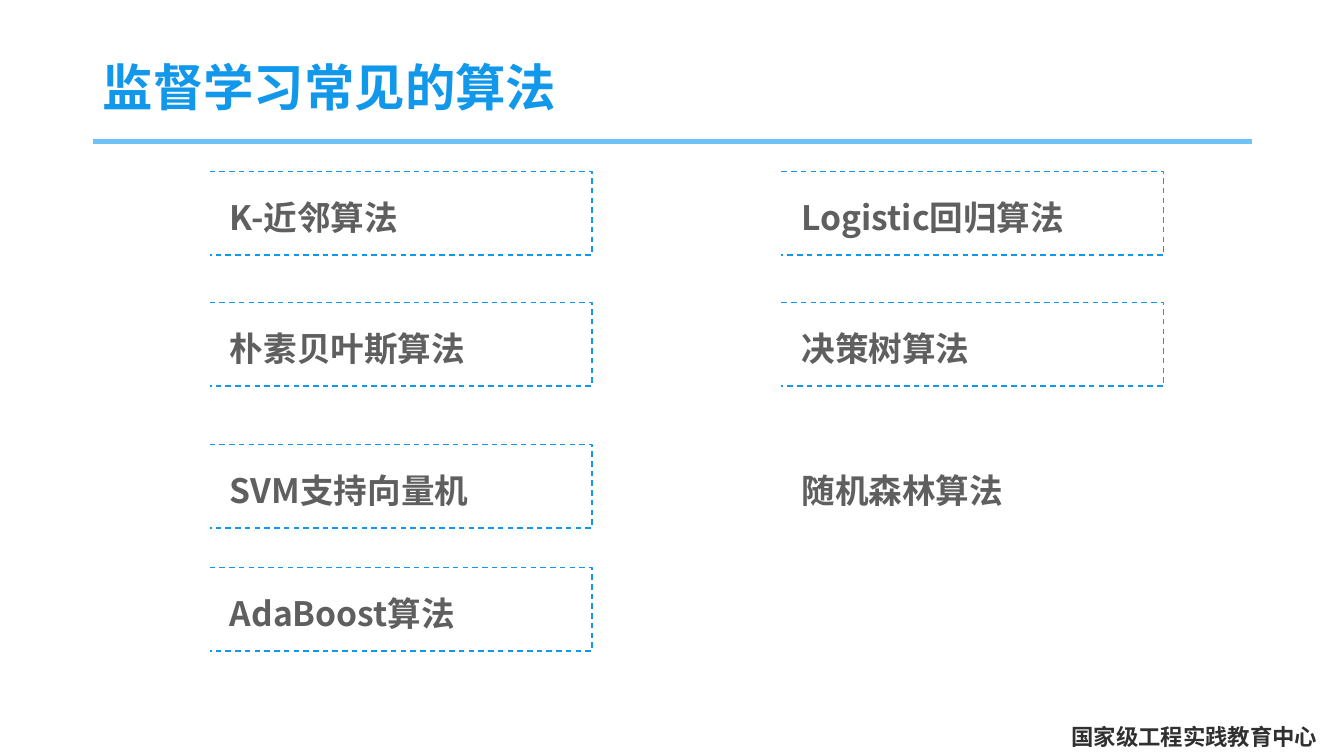
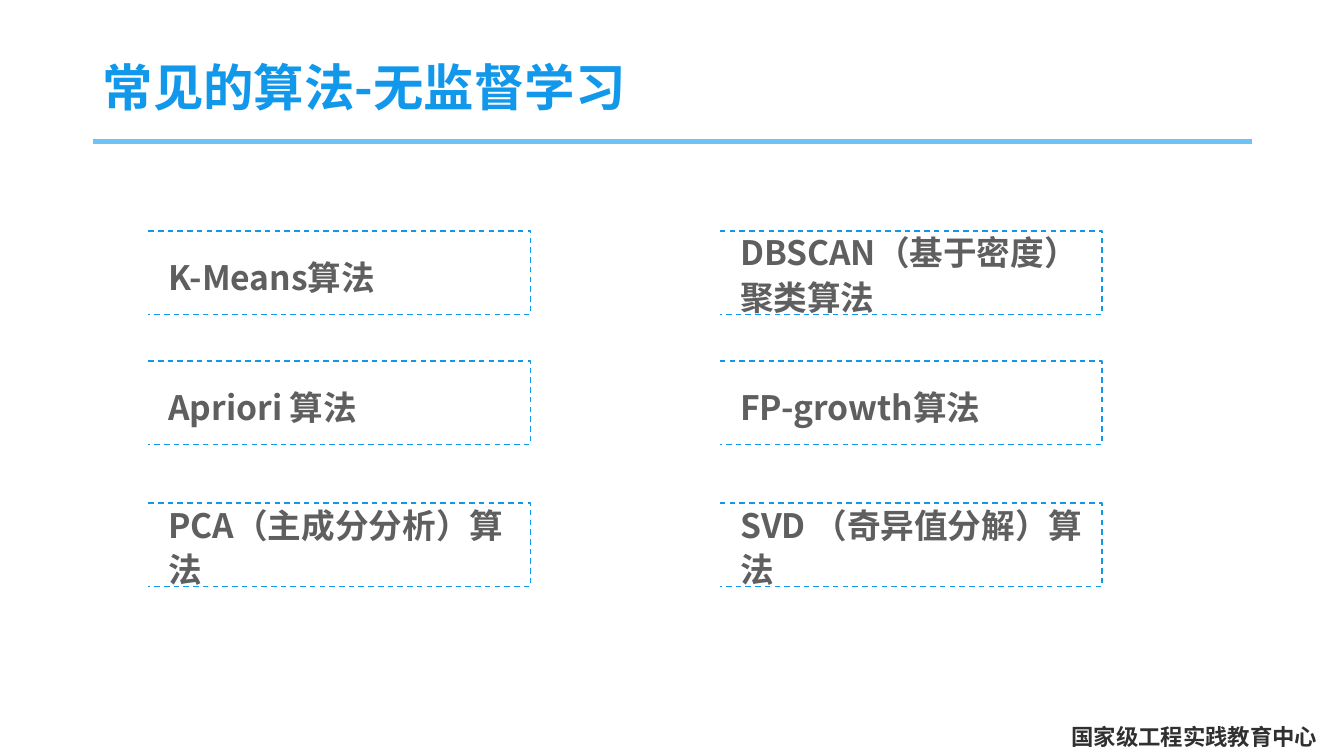
from lxml import etree
from pptx import Presentation
from pptx.dml.color import RGBColor
from pptx.enum import dml, shapes, text
from pptx.oxml.ns import qn
from pptx.util import Inches, Pt

FONT = "Noto Sans CJK SC"
BLUE = RGBColor(0x11, 0x98, 0xEB)
LIGHT_BLUE = RGBColor(0x6F, 0xC2, 0xF5)
GREY = RGBColor(0x5F, 0x5F, 0x5F)
DARK = RGBColor(0x30, 0x30, 0x30)
WHITE = RGBColor(0xFF, 0xFF, 0xFF)

FOOTER = "国家级工程实践教育中心"
CARD_WIDTH, CARD_HEIGHT = 3.79, 0.83
COLUMN_STEP = 5.67
WRAPPED = 1.1  # line spacing of two-line labels
SINGLE = 1.2

# Each row: top edge, then (label, line spacing, outline, fill) from left to right
SLIDES = [
    {
        "title": "监督学习常见的算法",
        "left": 2.08,
        "rows": [
            (1.7, [("K-近邻算法", SINGLE, BLUE, None),
                   ("Logistic回归算法", SINGLE, BLUE, None)]),
            (3.0, [("朴素贝叶斯算法", SINGLE, BLUE, None),
                   ("决策树算法", SINGLE, BLUE, None)]),
            (4.41, [("SVM支持向量机", SINGLE, BLUE, None),
                    ("随机森林算法", SINGLE, WHITE, WHITE)]),
            (5.63, [("AdaBoost算法", SINGLE, BLUE, None)]),
        ],
    },
    {
        "title": "常见的算法-无监督学习",
        "left": 1.47,
        "rows": [
            (2.29, [("K-Means算法", SINGLE, BLUE, None),
                    ("DBSCAN（基于密度）聚类算法", WRAPPED, BLUE, None)]),
            (3.58, [("Apriori 算法", SINGLE, BLUE, None),
                    ("FP-growth算法", SINGLE, BLUE, None)]),
            (4.99, [("PCA（主成分分析）算法", WRAPPED, BLUE, None),
                    ("SVD （奇异值分解）算法", WRAPPED, BLUE, WHITE)]),
        ],
    },
]


def write(frame, words, size, color, anchor, spacing=1.0, align=text.PP_ALIGN.LEFT):
    frame.word_wrap = True
    frame.vertical_anchor = anchor
    para = frame.paragraphs[0]
    para.alignment = align
    para.line_spacing = spacing
    span = para.add_run()
    span.text = words
    span.font.size = Pt(size)
    span.font.bold = True
    span.font.color.rgb = color
    span.font.name = FONT
    # Chinese glyphs take their typeface from a separate element
    etree.SubElement(span._r.get_or_add_rPr(), qn("a:ea"), typeface=FONT)


def add_frame(page, title):
    """Add the title, its rule and the footer that all slides share."""
    footer = page.shapes.add_textbox(Inches(10.53), Inches(7.19), Inches(2.69), Inches(0.3))
    write(footer.text_frame, FOOTER, 16, DARK, text.MSO_ANCHOR.BOTTOM,
          align=text.PP_ALIGN.JUSTIFY)

    rule = page.shapes.add_connector(shapes.MSO_CONNECTOR.STRAIGHT, Inches(0.92), Inches(1.4),
                                     Inches(12.42), Inches(1.4))
    rule.line.color.rgb = LIGHT_BLUE
    rule.line.width = Pt(3.5)
    etree.SubElement(rule._element.spPr, qn("a:effectLst"))

    heading = page.shapes.add_textbox(Inches(0.92), Inches(0.4), Inches(11.5), Inches(1))
    write(heading.text_frame, title, 36, BLUE, text.MSO_ANCHOR.MIDDLE, 0.9)


def add_card(page, left, top, label, spacing, outline, fill):
    """Add a dashed box that is open on its left side."""
    right, bottom = left + CARD_WIDTH, top + CARD_HEIGHT
    builder = page.shapes.build_freeform(Inches(left), Inches(top))
    corners = [(right, top), (right, bottom), (left, bottom)]
    builder.add_line_segments([(Inches(x), Inches(y)) for x, y in corners], close=False)
    card = builder.convert_to_shape()
    card.shadow.inherit = False
    if fill is None:
        card.fill.background()
    else:
        card.fill.solid()
        card.fill.fore_color.rgb = fill
    card.line.color.rgb = outline
    card.line.width = Pt(1)
    card.line.dash_style = dml.MSO_LINE.DASH

    frame = card.text_frame
    frame.margin_left, frame.margin_right = Inches(0.2), Inches(0.08)
    frame.margin_top = frame.margin_bottom = 0
    write(frame, label, 24, GREY, text.MSO_ANCHOR.MIDDLE, spacing)


def main():
    deck = Presentation()
    deck.slide_width, deck.slide_height = Inches(13.33), Inches(7.5)
    for content in SLIDES:
        page = deck.slides.add_slide(deck.slide_layouts[6])
        add_frame(page, content["title"])
        for top, cards in content["rows"]:
            for column, card in enumerate(cards):
                add_card(page, content["left"] + column * COLUMN_STEP, top, *card)
    deck.save("out.pptx")


if __name__ == "__main__":
    main()
